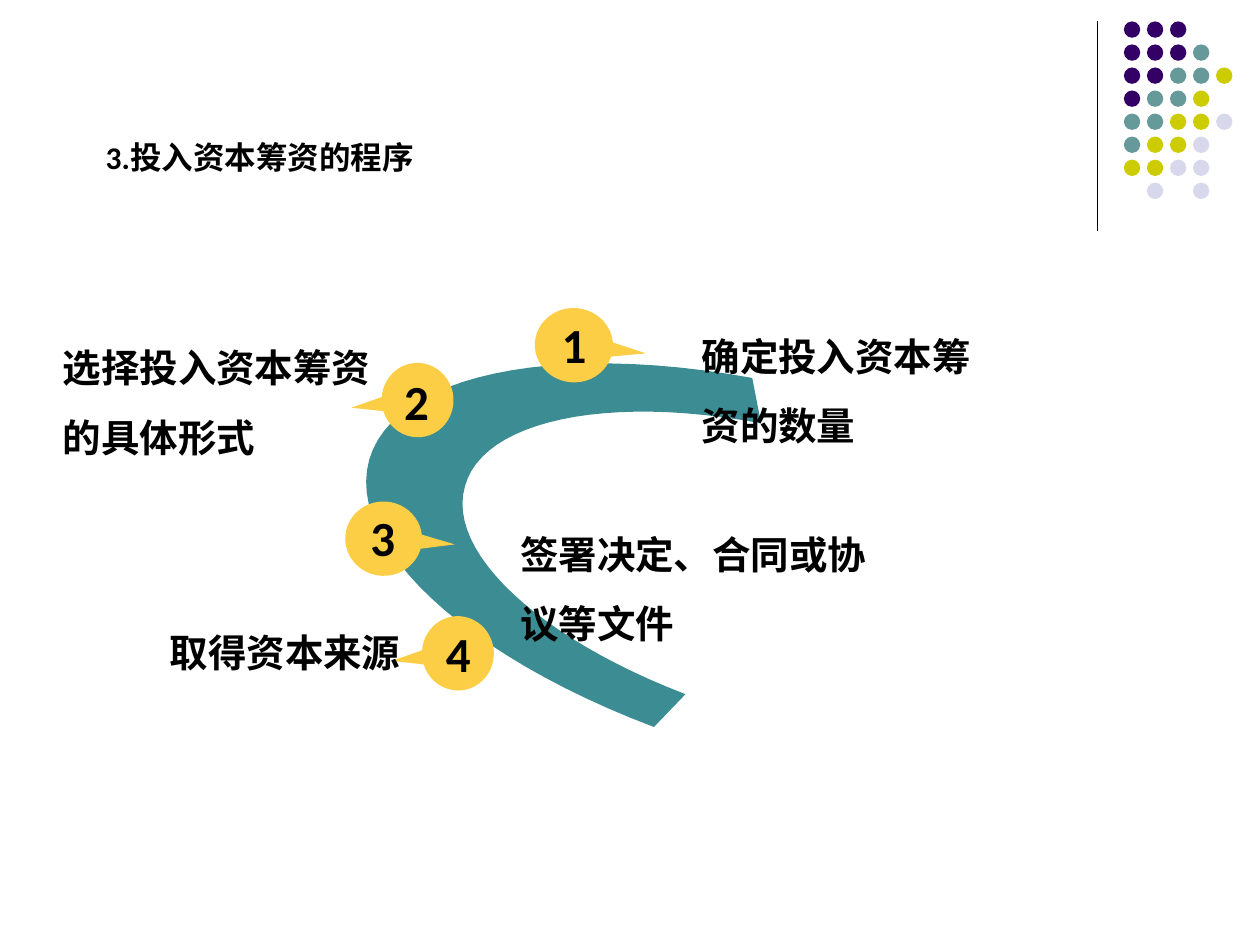
from pptx import Presentation
from pptx.dml.color import RGBColor
from pptx.enum.shapes import MSO_CONNECTOR, MSO_SHAPE
from pptx.enum.text import PP_ALIGN
from pptx.oxml.ns import qn
from pptx.util import Inches, Pt
from lxml import etree

# Content
TITLE = "3.投入资本筹资的程序"
# number, callout box, rotation, points left, number box, number rotation
STEPS = [
    ("1", (4.26, 2.43, 0.59, 0.62), 274.8, False, (4.36, 2.45, 0.38, 0.57), 0),
    ("2", (3.02, 2.89, 0.59, 0.57), 85.2, True, (3.11, 2.9, 0.35, 0.57), 0),
    ("3", (2.75, 3.97, 0.59, 0.61), 272.9, False, (2.84, 3.98, 0.37, 0.57), -0.2),
    ("4", (3.34, 4.9, 0.59, 0.57), 85.2, True, (3.44, 4.9, 0.35, 0.57), 0),
]
# text, box, line spacing
LABELS = [
    ("确定投入资本筹资的数量", (5.47, 2.41, 2.49, 0.9), 1.5),
    ("选择投入资本筹资的具体形式", (0.4, 2.5, 2.81, 0.81), 1.5),
    ("签署决定、合同或协议等文件", (4.03, 3.98, 3.01, 0.72), 1.5),
    ("取得资本来源", (1.25, 4.94, 2.4, 0.47), 1.0),
]
# Each edge is a chain of cubic curves: start, then two controls and an end each
INNER_EDGE = [(5.44, 5.51), (4.27, 5.06), (3.54, 4.38), (3.69, 3.86),
              (3.83, 3.34), (4.81, 3.13), (6.04, 3.36)]
OUTER_EDGE = [(5.97, 3), (4.38, 2.71), (3.12, 2.98), (2.93, 3.65),
              (2.74, 4.32), (3.68, 5.2), (5.19, 5.77)]
DOT_ROWS = ["PPP", "PPPT", "PPTTY", "PTTY", "TTYYL", "TYYL", "YYLL", " L L"]
DOT_LEFT, DOT_TOP, DOT_SIZE = 8.92, 0.17, 0.13
DOT_PITCH = 1.28 / (len(DOT_ROWS) - 1)

COLORS = {"text": "000000", "band": "3C8C93", "callout": "FBCE45",
          "P": "330066", "T": "669999", "Y": "CCCC00", "L": "D8D8EC"}
LATIN, CJK = "Calibri", "Noto Sans CJK SC"


def color(name):
    return RGBColor.from_string(COLORS[name])


def paint(shape, name):
    shape.shadow.inherit = False
    shape.fill.solid()
    shape.fill.fore_color.rgb = color(name)
    shape.line.fill.background()


def add_shape(slide, kind, box, fill):
    shape = slide.shapes.add_shape(kind, *map(Inches, box))
    paint(shape, fill)
    return shape


def add_text(slide, text, box, size, font, spacing=1.0, align=PP_ALIGN.LEFT, wrap=True):
    shape = slide.shapes.add_textbox(*map(Inches, box))
    text_frame = shape.text_frame
    text_frame.word_wrap = wrap
    text_frame.text = text
    paragraph = text_frame.paragraphs[0]
    paragraph.alignment = align
    paragraph.line_spacing = spacing
    run = paragraph.runs[0]
    run.font.size, run.font.bold, run.font.name = Pt(size), True, font
    run.font.color.rgb = color("text")
    etree.SubElement(run.font._element, qn("a:ea")).set("typeface", CJK)
    return shape


def curve_points(edge, steps=24):
    points = [edge[0]]
    for i in range(0, len(edge) - 1, 3):
        a, b, c, d = edge[i:i + 4]
        for t in (n / steps for n in range(1, steps + 1)):
            u = 1 - t
            points.append(tuple(
                u**3 * p + 3 * u * u * t * q + 3 * u * t * t * r + t**3 * s
                for p, q, r, s in zip(a, b, c, d)))
    return points


def main():
    presentation = Presentation()
    presentation.slide_width, presentation.slide_height = Inches(10), Inches(7.5)
    slide = presentation.slides.add_slide(presentation.slide_layouts[6])

    # Corner rule and dot pattern
    rule = slide.shapes.add_connector(
        MSO_CONNECTOR.STRAIGHT, Inches(8.71), Inches(0.17), Inches(8.71), Inches(1.83))
    rule.line.color.rgb = color("text")
    rule.line.width = Pt(0.75)
    etree.SubElement(rule._element.spPr, qn("a:effectLst"))
    for row, dots in enumerate(DOT_ROWS):
        for column, dot in enumerate(dots):
            if dot != " ":
                add_shape(slide, MSO_SHAPE.OVAL,
                          (DOT_LEFT + column * DOT_PITCH, DOT_TOP + row * DOT_PITCH,
                           DOT_SIZE, DOT_SIZE), dot)

    # Curved band
    outline = [(Inches(x), Inches(y))
               for x, y in curve_points(INNER_EDGE) + curve_points(OUTER_EDGE)]
    builder = slide.shapes.build_freeform(*outline[0])
    builder.add_line_segments(outline[1:], close=True)
    paint(builder.convert_to_shape(), "band")

    # Numbered callouts
    for number, box, rotation, points_left, number_box, number_rotation in STEPS:
        callout = add_shape(slide, MSO_SHAPE.OVAL_CALLOUT, box, "callout")
        callout.adjustments[0], callout.adjustments[1] = -0.028, 0.927
        callout.rotation = rotation
        if points_left:
            callout._element.spPr.xfrm.set("flipH", "1")
        add_text(slide, number, number_box, 28, LATIN).rotation = number_rotation

    # Step labels and title
    for text, box, spacing in LABELS:
        add_text(slide, text, box, 22, CJK, spacing)
    add_text(slide, TITLE, (0.7, 1.13, 2.72, 0.32), 18, LATIN, Pt(15.7),
             PP_ALIGN.CENTER, wrap=False)

    presentation.save("out.pptx")


if __name__ == "__main__":
    main()
